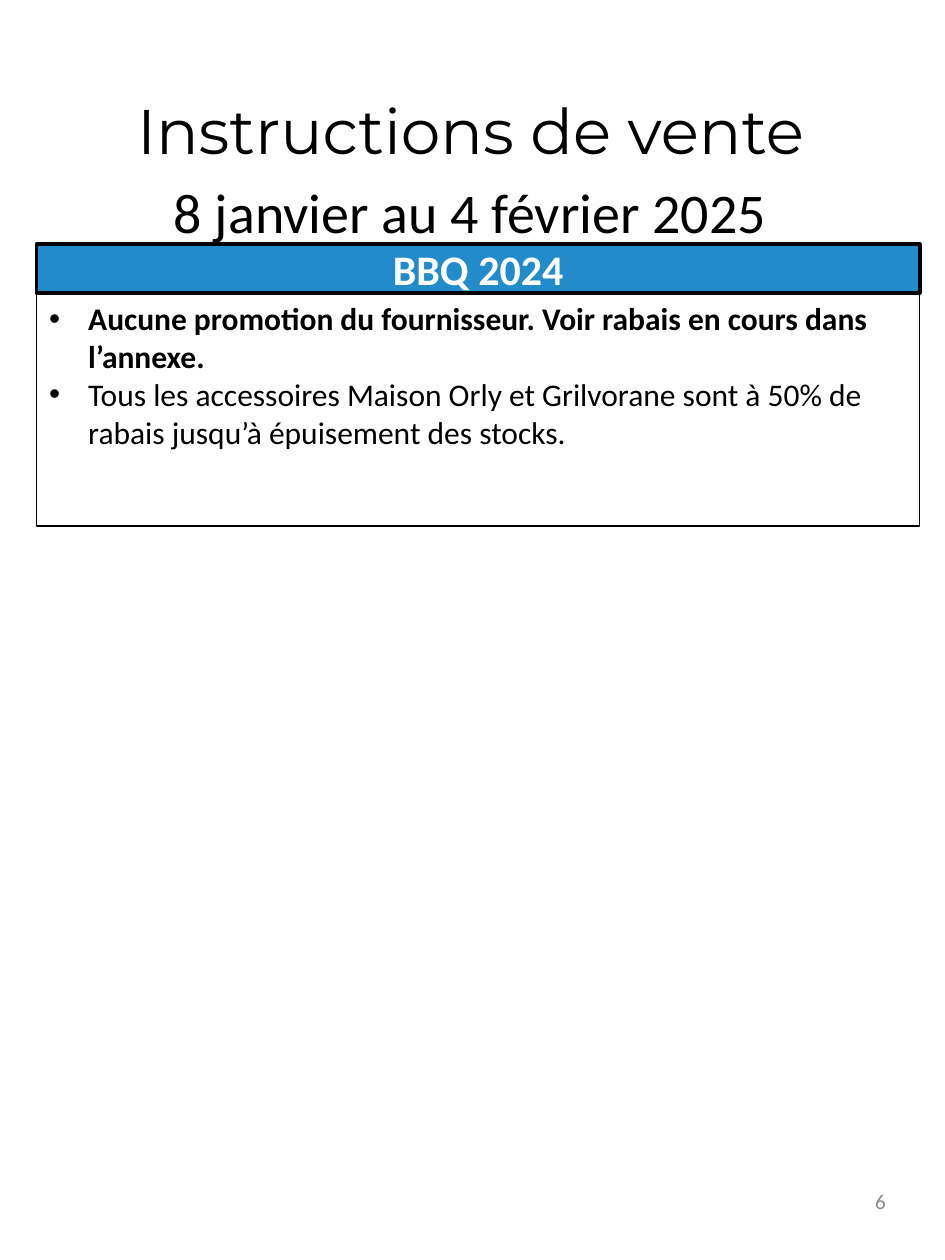
from lxml.etree import SubElement
from pptx import Presentation
from pptx.dml.color import RGBColor
from pptx.enum.shapes import MSO_SHAPE
from pptx.enum.text import MSO_ANCHOR, MSO_AUTO_SIZE, PP_ALIGN
from pptx.oxml.ns import qn
from pptx.util import Inches, Pt


def rgb(value):
    return RGBColor.from_string(value)


class SalesSheet:
    BLACK, WHITE, BLUE, GREY = "000000", "FFFFFF", "218BCB", "8C8C8C"
    BODY_FONT, TITLE_FONT = "Calibri", "Montserrat"

    def __init__(self, prs):
        self.prs = prs
        self.slide = prs.slides.add_slide(prs.slide_layouts[1])

    def box(self, left, top, width, height):
        w, h = self.prs.slide_width / 100, self.prs.slide_height / 100
        return [int(n) for n in (left * w, top * h, width * w, height * h)]

    def place(self, sp, area):
        for name, value in zip(("left", "top", "width", "height"), self.box(*area)):
            setattr(sp, name, value)

    def frame(self, sp, anchor):
        tf = sp.text_frame
        settings = {"word_wrap": True, "auto_size": MSO_AUTO_SIZE.NONE, "vertical_anchor": anchor}
        for name, value in settings.items():
            setattr(tf, name, value)
        return tf

    def paragraph(self, p, **settings):
        settings = {"space_before": Pt(0), "space_after": Pt(0), "line_spacing": 1.0, **settings}
        for name, value in settings.items():
            setattr(p, name, value)

    def run(self, p, text, size, color=BLACK, **settings):
        r = p.add_run()
        r.text = text
        settings = {"name": self.BODY_FONT, "size": Pt(size), "bold": False, **settings}
        for name, value in settings.items():
            setattr(r.font, name, value)
        r.font.color.rgb = rgb(color)
        return r

    def border(self, sp, width):
        sp.line.color.rgb = rgb(self.BLACK)
        sp.line.width = Pt(width)

    def title(self, heading, dates, area):
        sp = self.slide.shapes.title
        self.place(sp, area)
        p = self.frame(sp, MSO_ANCHOR.TOP).paragraphs[0]
        self.paragraph(p, alignment=PP_ALIGN.CENTER, line_spacing=1.15, space_after=Pt(10))
        first = self.run(p, heading, 36, name=self.TITLE_FONT)
        p.add_line_break()
        for r in (first, self.run(p, dates, 32)):
            props = r.font.fill._xPr
            ln = SubElement(props, qn("a:ln"), w=str(Pt(0.4)))
            fill = SubElement(ln, qn("a:solidFill"))
            SubElement(fill, qn("a:srgbClr"), val=self.BLACK)
            props.insert(0, ln)

    def banner(self, text, area):
        sp = self.slide.shapes.add_shape(MSO_SHAPE.RECTANGLE, *self.box(*area))
        sp.shadow.inherit = False
        sp.fill.solid()
        sp.fill.fore_color.rgb = rgb(self.BLUE)
        self.border(sp, 2)
        p = self.frame(sp, MSO_ANCHOR.MIDDLE).paragraphs[0]
        self.paragraph(p, alignment=PP_ALIGN.CENTER)
        self.run(p, text, 24, self.WHITE, bold=True)

    def bullets(self, items, area):
        sp = self.slide.placeholders[1]
        self.place(sp, area)
        self.border(sp, 0.75)
        tf = self.frame(sp, MSO_ANCHOR.TOP)
        for i, (text, bold) in enumerate(items):
            p = tf.add_paragraph() if i else tf.paragraphs[0]
            self.paragraph(p, alignment=PP_ALIGN.LEFT)
            props = p._p.get_or_add_pPr()
            indent = Inches(0.31)
            props.set("marL", str(indent))
            props.set("indent", str(-indent))
            SubElement(props, qn("a:buFont"), typeface="Arial")
            SubElement(props, qn("a:buChar"), char="•")
            self.run(p, text, 18, bold=bold)

    def page_number(self, text, area):
        sp = self.slide.shapes.add_textbox(*self.box(*area))
        p = self.frame(sp, MSO_ANCHOR.MIDDLE).paragraphs[0]
        self.paragraph(p, alignment=PP_ALIGN.RIGHT)
        self.run(p, text, 12, self.GREY)


def main():
    prs = Presentation()
    prs.slide_width, prs.slide_height = Inches(7.5), Inches(10)
    sheet = SalesSheet(prs)
    left, width = 3.87, 93.47
    banner_top, banner_height = 19.35, 3.9
    sheet.title("Instructions de vente", "8 janvier au 4 février 2025", (4.8, 5.9, 90, 11.8))
    sheet.bullets(
        [
            ("Aucune promotion du fournisseur. Voir rabais en cours dans l’annexe.", True),
            ("Tous les accessoires Maison Orly et Grilvorane sont à 50% de rabais "
             "jusqu’à épuisement des stocks.", False),
        ],
        (left, banner_top + banner_height, width, 18.5),
    )
    sheet.banner("BBQ 2024", (left, banner_top, width, banner_height))
    sheet.page_number("6", (71.73, 92.7, 23.33, 5.3))
    prs.save("out.pptx")


if __name__ == "__main__":
    main()
